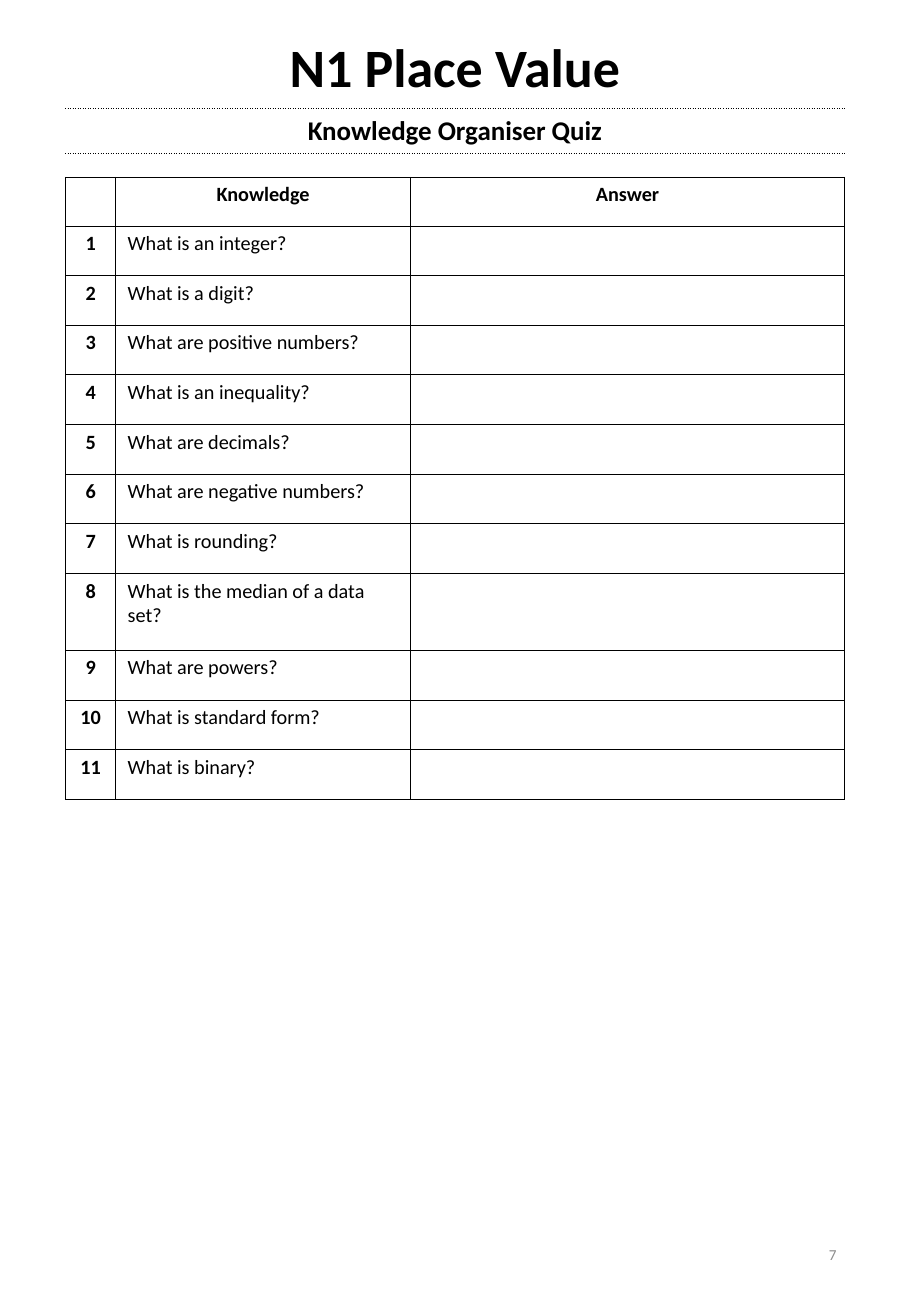
from pptx import Presentation
from pptx.dml.color import RGBColor
from pptx.enum.text import MSO_ANCHOR, PP_ALIGN
from pptx.oxml import parse_xml
from pptx.oxml.ns import nsdecls
from pptx.util import Pt

MID, TOP = MSO_ANCHOR.MIDDLE, MSO_ANCHOR.TOP
LEFT, CENTER, RIGHT = PP_ALIGN.LEFT, PP_ALIGN.CENTER, PP_ALIGN.RIGHT
FONT = "Calibri"
COLORS = {"ink": "000000", "paper": "FFFFFF", "page": "8C8C8C"}

# Borders as (colour, width, dash)
CLEAR = ("paper", 1, "solid")
DOTS = ("ink", 1, "dot")
THIN = ("ink", 0.6, "solid")

ASKS = [
    "What is an integer?",
    "What is a digit?",
    "What are positive numbers?",
    "What is an inequality?",
    "What are decimals?",
    "What are negative numbers?",
    "What is rounding?",
    "What is the median of a data set?",
    "What are powers?",
    "What is standard form?",
    "What is binary?",
]
TALL = 8  # question that takes two lines


def write(frame, text, size, align, bold=False, color="ink", lead=None):
    frame.word_wrap = True
    frame.text = text
    para = frame.paragraphs[0]
    para.alignment = align
    if lead:
        para.line_spacing = Pt(lead)
    for run in para.runs:
        font = run.font
        font.name, font.size, font.bold = FONT, Pt(size), bold
        font.color.rgb = RGBColor.from_string(COLORS[color])


def edge(cell, sides):
    """Fill the cell and draw its left, right, top and bottom borders."""
    cell.fill.solid()
    cell.fill.fore_color.rgb = RGBColor.from_string(COLORS["paper"])
    props = cell._tc.get_or_add_tcPr()
    for i, (side, (color, width, dash)) in enumerate(zip("LRTB", sides)):
        props.insert(i, parse_xml(
            f'<a:ln{side} {nsdecls("a")} w="{Pt(width)}"><a:solidFill>'
            f'<a:srgbClr val="{COLORS[color]}"/></a:solidFill>'
            f'<a:prstDash val="{dash}"/></a:ln{side}>'))


def grid(slide, left, top, cols, rows):
    frame = slide.shapes.add_table(len(rows), len(cols), Pt(left), Pt(top),
                                   Pt(sum(cols)), Pt(sum(rows)))
    table = frame.table
    table.first_row = table.horz_banding = False
    for col, width in zip(table.columns, cols):
        col.width = Pt(width)
    for row, height in zip(table.rows, rows):
        row.height = Pt(height)
    return table


def add_head(slide, left, top, width):
    table = grid(slide, left, top, [width], [46.2, 26.7, 25.6])
    lines = [
        ("N1 Place Value", 32, None, CLEAR, DOTS),
        ("Knowledge Organiser Quiz", 16, None, DOTS, DOTS),
        ("", 12, 14.2, DOTS, CLEAR),
    ]
    for i, (text, size, lead, above, below) in enumerate(lines):
        cell = table.cell(i, 0)
        cell.vertical_anchor = MID
        write(cell.text_frame, text, size, CENTER, True, lead=lead)
        edge(cell, (CLEAR, CLEAR, above, below))


def add_quiz(slide, left, top, width):
    cols = [29.5, 175, width - 204.5]
    rows = [27.3] + [45.6 if n == TALL else 29.45
                     for n in range(1, len(ASKS) + 1)]
    table = grid(slide, left, top, cols, rows)
    data = [("", "Knowledge", "Answer")]
    data += [(str(n), ask, "") for n, ask in enumerate(ASKS, 1)]
    for r, texts in enumerate(data):
        for c, text in enumerate(texts):
            cell = table.cell(r, c)
            cell.vertical_anchor = TOP
            ask = r > 0 and c == 1
            write(cell.text_frame, text, 12, LEFT if ask else CENTER,
                  not ask, lead=14.2)
            edge(cell, [THIN] * 4)


def add_page(slide, left, top, width, height):
    box = slide.shapes.add_textbox(Pt(left), Pt(top), Pt(width), Pt(height))
    box.text_frame.vertical_anchor = MID
    write(box.text_frame, "7", 9, RIGHT, color="page")


def main():
    deck = Presentation()
    deck.slide_width, deck.slide_height = Pt(540), Pt(780)
    slide = deck.slides.add_slide(deck.slide_layouts[6])
    add_head(slide, 39, 18, 461.5)
    add_page(slide, 381.5, 723, 121.5, 41.5)
    add_quiz(slide, 39, 105.1, 461.5)
    deck.save("out.pptx")


if __name__ == "__main__":
    main()
